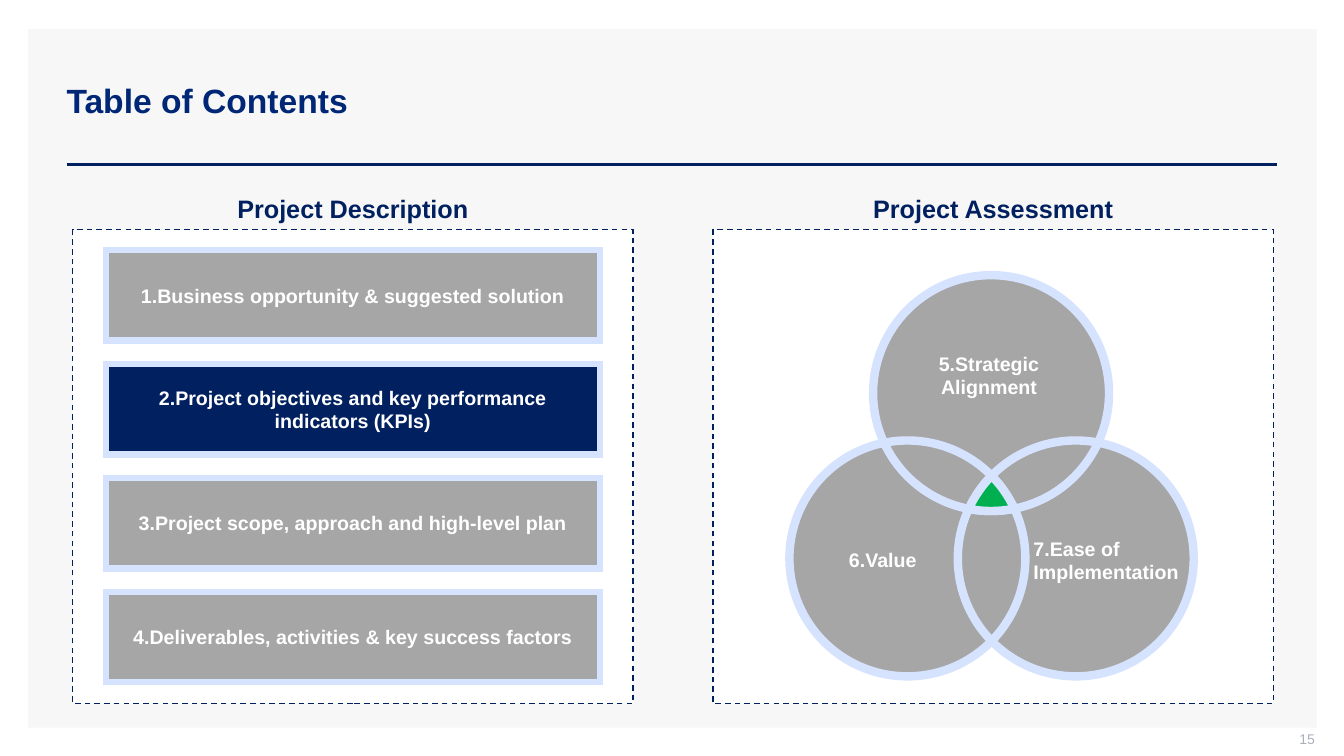
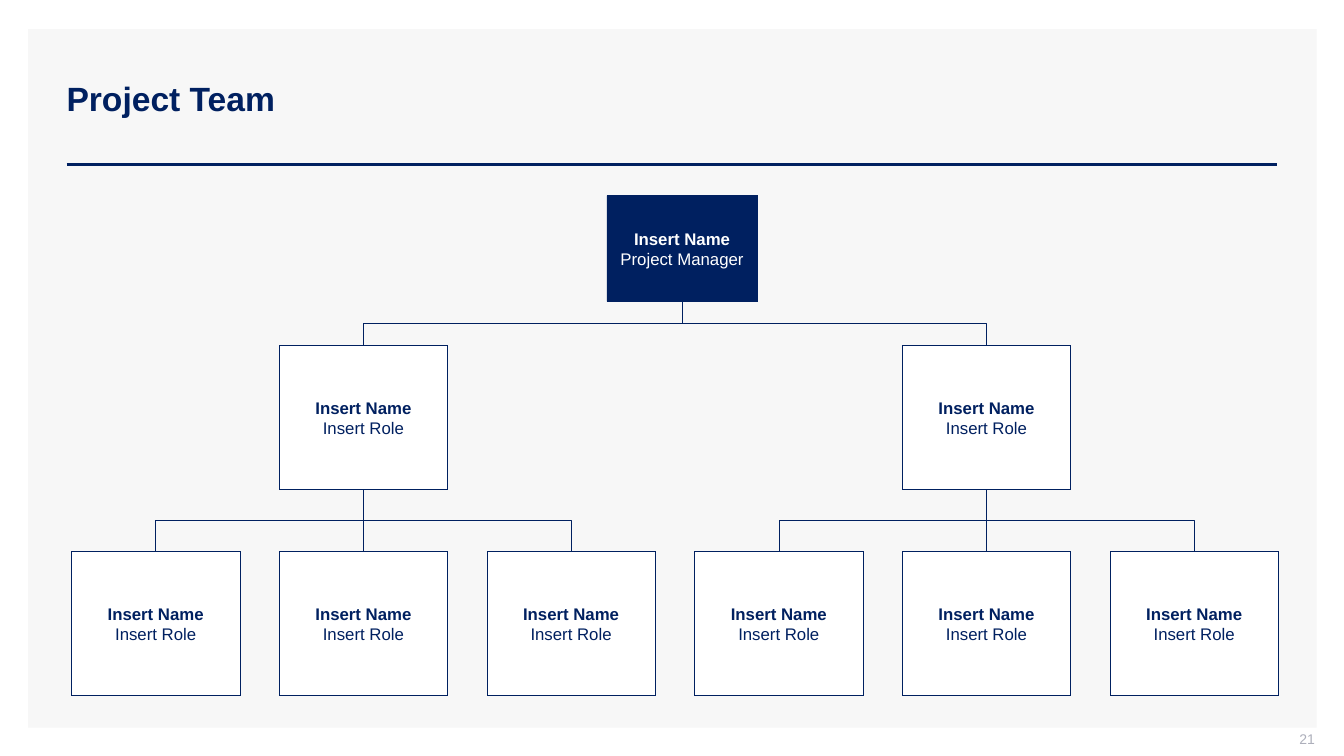
from dataclasses import dataclass
from math import atan2, cos, hypot, sin

from lxml.etree import SubElement
from pptx import Presentation
from pptx.dml.color import RGBColor
from pptx.enum.dml import MSO_LINE
from pptx.enum.shapes import MSO_CONNECTOR as CONN, MSO_SHAPE as SHAPE
from pptx.enum.text import MSO_ANCHOR as ANCHOR, PP_ALIGN as ALIGN
from pptx.oxml.ns import qn
from pptx.util import Inches, Pt


@dataclass(frozen=True)
class Theme:
    font: str = "Arial"
    navy: str = "002060"
    title_blue: str = "002776"
    white: str = "FFFFFF"
    band: str = "F7F7F7"
    grey: str = "A6A6A6"
    pale_blue: str = "D6E3FF"
    green: str = "00B050"
    number_grey: str = "ADAFBB"
    title: int = 24
    heading: int = 18
    label: int = 14
    card: int = 12
    number: int = 10


T = Theme()
PANEL_W, PANEL_H = 5.56, 4.7


def assign(obj, **values):
    for name, value in values.items():
        setattr(obj, name, value)


def box(x, y, w, h):
    return [Inches(v) for v in (x, y, w, h)]


def paint(sp, fill, line=None, width=1, dash=None):
    """Give a shape its fill and outline; None means no fill or no line."""
    sp.shadow.inherit = False
    if fill:
        sp.fill.solid()
        sp.fill.fore_color.rgb = RGBColor.from_string(fill)
    else:
        sp.fill.background()
    if not line:
        sp.line.fill.background()
        return
    sp.line.color.rgb = RGBColor.from_string(line)
    assign(sp.line, width=Pt(width), dash_style=dash)
    SubElement(sp.element.spPr.find(qn("a:ln")), qn("a:miter"), lim="800000")


def write(sp, lines, size, color, align=ALIGN.CENTER, anchor=ANCHOR.MIDDLE,
          insets=(0.1, 0.05, 0.1, 0.05), spacing=None):
    """Fill a shape with (text, bold) lines, one paragraph each."""
    tf = sp.text_frame
    left, top, right, bottom = (Inches(v) for v in insets)
    assign(tf, word_wrap=True, vertical_anchor=anchor, margin_left=left,
           margin_top=top, margin_right=right, margin_bottom=bottom)
    for i, (text, bold) in enumerate(lines):
        p = tf.add_paragraph() if i else tf.paragraphs[0]
        assign(p, alignment=align, line_spacing=spacing)
        r = p.add_run()
        r.text = text
        assign(r.font, name=T.font, size=Pt(size), bold=bold)
        r.font.color.rgb = RGBColor.from_string(color)


def add_box(s, bounds, fill, line=None, width=1, dash=None, kind=SHAPE.RECTANGLE):
    sp = s.shapes.add_shape(kind, *box(*bounds))
    paint(sp, fill, line, width, dash)
    return sp


def add_text(s, bounds, lines, size, color, **options):
    write(s.shapes.add_textbox(*box(*bounds)), lines, size, color, **options)


def add_line(s, kind, start, end, width):
    c = s.shapes.add_connector(kind, *box(*start, *end))
    c.line.color.rgb = RGBColor.from_string(T.navy)
    c.line.width = Pt(width)
    SubElement(c.element.spPr, qn("a:effectLst"))
    return c


def dress_layout(prs, layout):
    """Put the band, the rule and the title position on the layout."""
    s = prs.slides[0]
    parts = [add_box(s, (0.28, 0.29, 12.78, 6.93), T.band),
             add_line(s, CONN.STRAIGHT, (0.66, 1.63), (12.67, 1.63), 2)]
    for i, part in enumerate(parts):
        part.element.xpath(".//p:cNvPr")[0].set("id", str(100 + i))
        layout.shapes.element.insert(2 + i, part.element)
    left, top, width, height = box(0.56, 0.4, 12.11, 1.19)
    assign(layout.placeholders[0], left=left, top=top, width=width, height=height)


def add_slide(prs, layout, title, number, color=T.navy, spacing=None):
    s = prs.slides.add_slide(layout)
    write(s.shapes.title, [(title, True)], T.title, color, align=ALIGN.LEFT,
          spacing=spacing)
    add_text(s, (10.04, 7.25, 3, 0.21), [(str(number), False)], T.number,
             T.number_grey, align=ALIGN.RIGHT, insets=(0.1, 0, 0, 0.05))
    return s


def add_panel(s, x, y, heading):
    add_box(s, (x, y, PANEL_W, PANEL_H), T.white, T.navy, 1, MSO_LINE.DASH)
    add_text(s, (x + (PANEL_W - 2.84) / 2, y - 0.41, 2.84, 0.4),
             [(heading, True)], T.heading, T.navy, anchor=ANCHOR.TOP)


def add_topics(s, x, y, topics, current):
    add_panel(s, x, y, "Project Description")
    for i, topic in enumerate(topics):
        sp = add_box(s, (x + 0.33, y + 0.2 + i * 1.13, 4.9, 0.9),
                     T.navy if i == current else T.grey, T.pale_blue, 4.5)
        write(sp, [(topic, True)], T.label, T.white)


def crossing(a, b, target, radius):
    """Return the crossing of circles a and b that lies nearer to target."""
    dx, dy = b[0] - a[0], b[1] - a[1]
    d = hypot(dx, dy)
    h = (radius ** 2 - d ** 2 / 4) ** 0.5
    mx, my = (a[0] + b[0]) / 2, (a[1] + b[1]) / 2
    points = [(mx + k * dy * h / d, my - k * dx * h / d) for k in (1, -1)]
    return min(points, key=lambda pt: hypot(pt[0] - target[0], pt[1] - target[1]))


def arc(center, start, end, radius, steps=8):
    a, b = (atan2(pt[1] - center[1], pt[0] - center[0]) for pt in (start, end))
    if abs(b - a) > 3.14:
        b += 6.2832 if b < a else -6.2832
    angles = [a + (b - a) * i / steps for i in range(steps + 1)]
    return [(center[0] + radius * cos(t), center[1] + radius * sin(t)) for t in angles]


def add_venn(s, x, y):
    add_panel(s, x, y, "Project Assessment")
    radius = 1.17
    top, left, right = centers = [(x + dx, y + dy) for dx, dy in
                                  ((2.76, 1.62), (1.93, 3.26), (3.6, 3.26))]
    for fill, line in ((T.grey, None), (None, T.pale_blue)):
        for cx, cy in centers:
            add_box(s, (cx - radius, cy - radius, 2 * radius, 2 * radius),
                    fill, line, 6, kind=SHAPE.OVAL)

    apex = crossing(left, right, top, radius)
    low_right = crossing(left, top, right, radius)
    low_left = crossing(right, top, left, radius)
    outline = [(Inches(px), Inches(py)) for px, py in
               arc(left, apex, low_right, radius)
               + arc(top, low_right, low_left, radius)
               + arc(right, low_left, apex, radius)]
    builder = s.shapes.build_freeform(*outline[0])
    builder.add_line_segments(outline[1:], close=True)
    paint(builder.convert_to_shape(), T.green, T.pale_blue, 6)

    labels = (
        ((1.76, 1.14, 1.96, 0.6), ("5.Strategic", "Alignment"), ALIGN.CENTER),
        ((1.35, 3.07, 1, 0.4), ("6.Value",), ALIGN.LEFT),
        ((3.18, 2.98, 1.58, 0.6), ("7.Ease of Implementation",), ALIGN.LEFT),
    )
    for (dx, dy, w, h), lines, align in labels:
        add_text(s, (x + dx, y + dy, w, h), [(line, True) for line in lines],
                 T.label, T.white, align=align, insets=(0, 0, 0, 0))


def add_card(s, bounds, role="Insert Role", fill=T.white, color=T.navy):
    sp = add_box(s, bounds, fill, T.navy, 0.5)
    write(sp, [("Insert Name", True), (role, False)], T.card, color,
          insets=(0.02,) * 4)
    return sp


def link_cards(s, parent, child):
    """Join the parent's bottom to the child's top, turning halfway down."""
    x1, y1 = parent.left + parent.width // 2, parent.top + parent.height
    x2, y2 = child.left + child.width // 2, child.top
    dx, dy = x2 - x1, y2 - y1
    c = add_line(s, CONN.ELBOW if dx else CONN.STRAIGHT, (0, 0), (1, 1), 0.5)
    c.begin_connect(parent, 2)
    c.end_connect(child, 0)
    if not dx:
        return
    xfrm = c.element.spPr.find(qn("a:xfrm"))
    for name in ("flipH", "flipV"):
        xfrm.attrib.pop(name, None)
    xfrm.set("rot", str((270 if dx > 0 else 90) * 60000))
    if dx > 0:
        xfrm.set("flipH", "1")
    # The frame is stored unrotated, about the same centre.
    off, ext = xfrm.find(qn("a:off")), xfrm.find(qn("a:ext"))
    off.set("x", str((x1 + x2 - dy) // 2))
    off.set("y", str((y1 + y2 - abs(dx)) // 2))
    ext.set("cx", str(dy))
    ext.set("cy", str(abs(dx)))


def add_org_chart(s, x, y):
    card_w, card_h, pitch = 1.67, 1.43, 2.06
    manager = add_card(s, (x + 5.31, y, 1.49, 1.05), "Project Manager",
                       T.navy, T.white)
    for team in range(2):
        first = 3 * team
        lead = add_card(s, (x + (first + 1) * pitch, y + 1.49, card_w, card_h))
        link_cards(s, manager, lead)
        for i in range(first, first + 3):
            member = add_card(s, (x + i * pitch, y + 3.53, card_w, card_h))
            link_cards(s, lead, member)


def main():
    prs = Presentation()
    assign(prs, slide_width=Inches(13.33), slide_height=Inches(7.5))
    layout = prs.slide_layouts[5]

    s = add_slide(prs, layout, "Table of Contents", 15, T.title_blue)
    dress_layout(prs, layout)
    add_topics(s, 0.72, 2.28, (
        "1.Business opportunity & suggested solution",
        "2.Project objectives and key performance indicators (KPIs)",
        "3.Project scope, approach and high-level plan",
        "4.Deliverables, activities & key success factors",
    ), current=1)
    add_venn(s, 7.07, 2.28)

    s = add_slide(prs, layout, "Project Team", 21, spacing=0.9)
    add_org_chart(s, 0.71, 1.94)

    prs.save("out.pptx")


if __name__ == "__main__":
    main()
